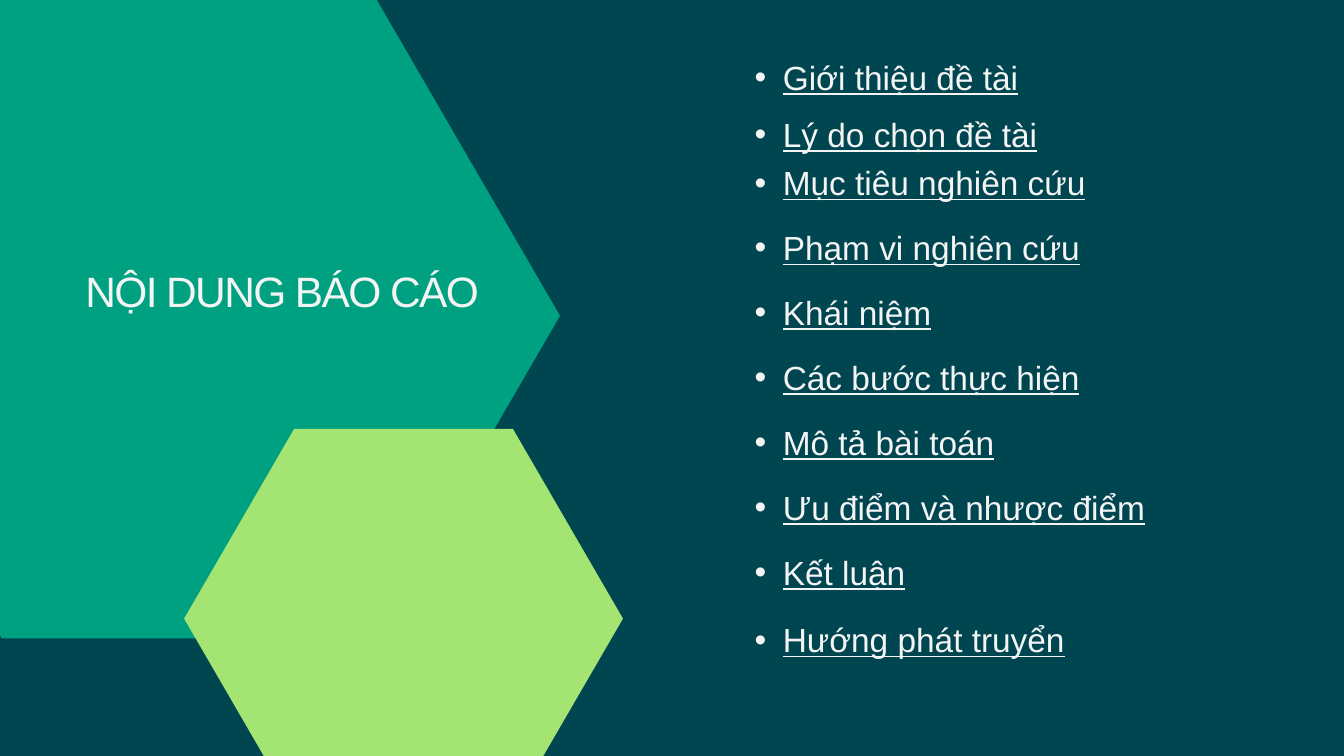
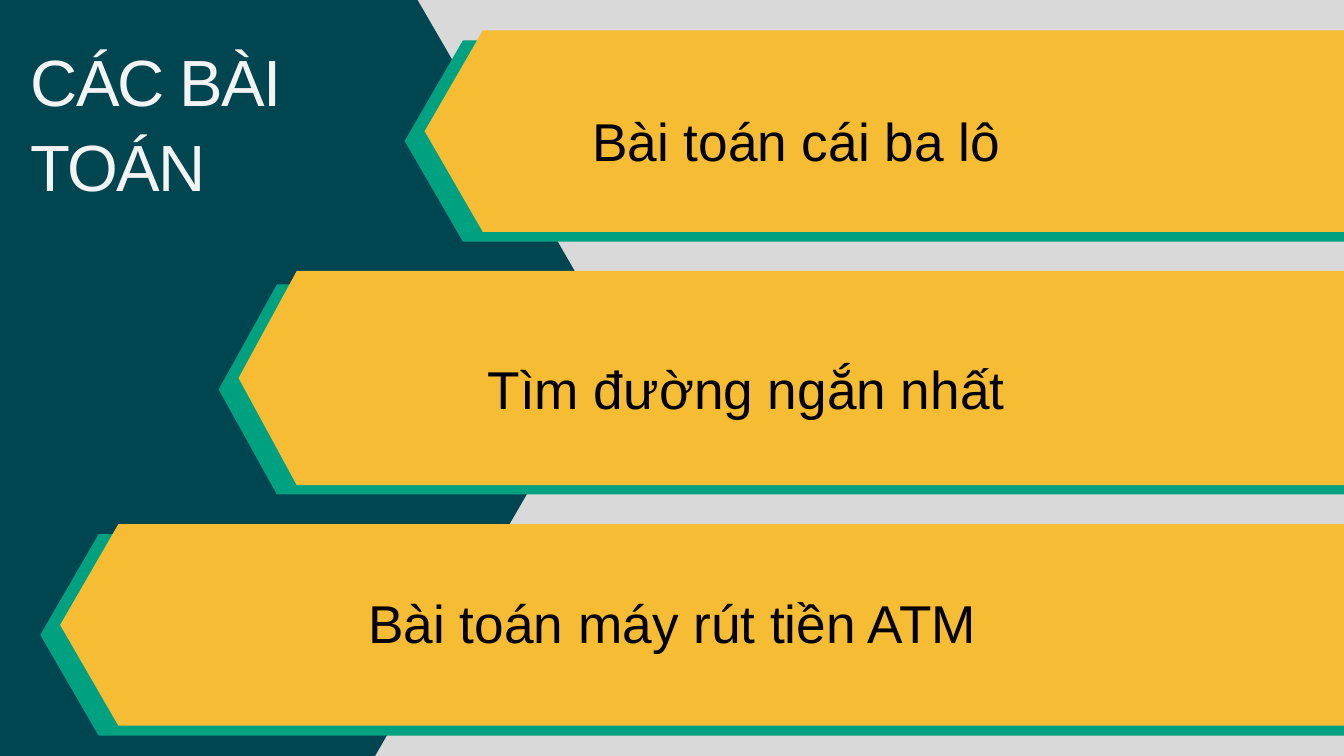
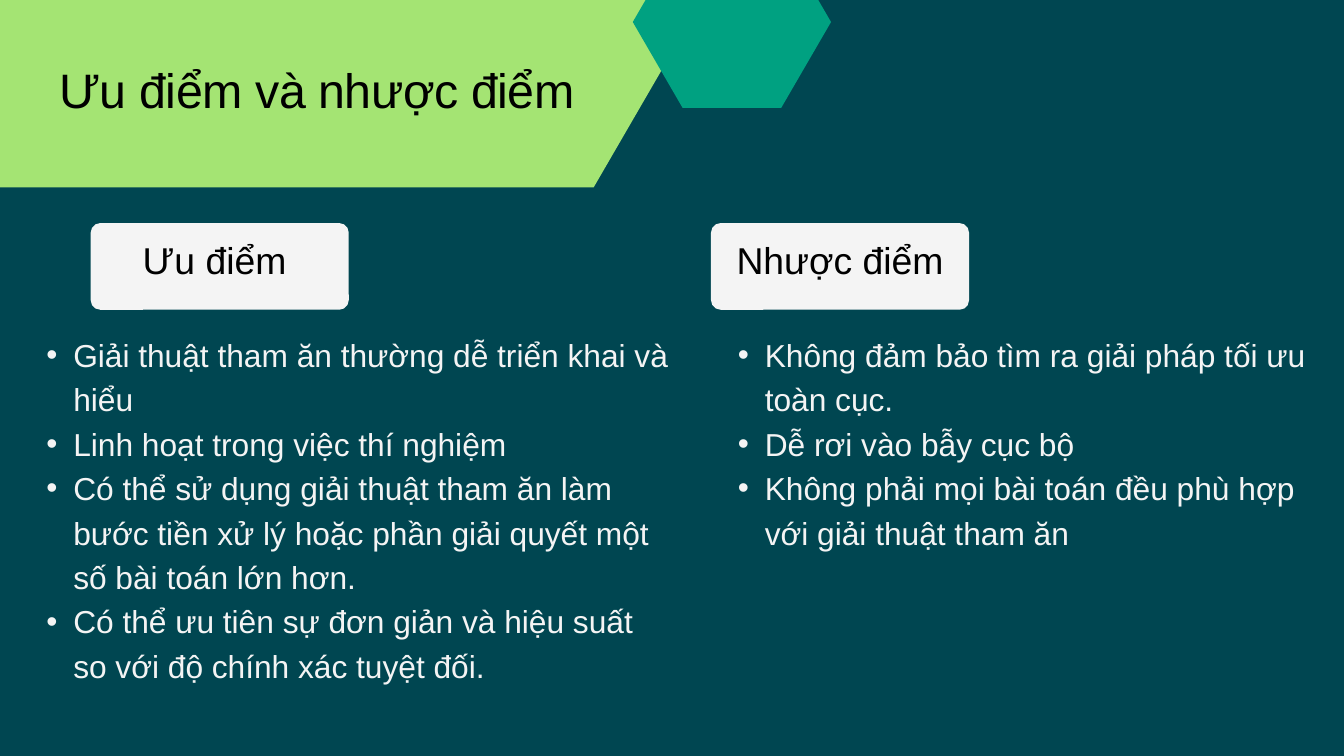
from dataclasses import dataclass

from lxml import etree
from pptx import Presentation
from pptx.dml.color import RGBColor
from pptx.enum.shapes import MSO_SHAPE
from pptx.enum.text import MSO_ANCHOR, MSO_AUTO_SIZE, PP_ALIGN
from pptx.oxml.ns import qn
from pptx.util import Pt

HEXAGON = MSO_SHAPE.HEXAGON
ROUNDED = MSO_SHAPE.ROUNDED_RECTANGLE
LEFT, CENTER = PP_ALIGN.LEFT, PP_ALIGN.CENTER
TOP, MIDDLE = MSO_ANCHOR.TOP, MSO_ANCHOR.MIDDLE
NO_FIT = MSO_AUTO_SIZE.NONE
SLOPE = 0.29  # side inset of a regular hexagon, as a share of its height


@dataclass(frozen=True)
class Theme:
    font: str = "Arial"
    dark: str = "004651"
    teal: str = "00A181"
    lime: str = "A4E473"
    gold: str = "F5BC34"
    gray: str = "D9D9D9"
    light: str = "F4F4F4"
    black: str = "000000"
    # Type styles: size, line height
    agenda: tuple = (45.5, 54.6)
    entry: tuple = (35.8, 50.1)
    cover: tuple = (70, 91)
    band: tuple = (57, 79.8)
    head: tuple = (51.8, 67.3)
    card: tuple = (40, 52)
    body: tuple = (34, 47.6)


class Deck:
    def __init__(self, theme):
        self.theme = theme
        self.prs = Presentation()
        self.prs.slide_width, self.prs.slide_height = Pt(1440), Pt(810)
        self.slide = None

    def page(self, color):
        self.slide = self.prs.slides.add_slide(self.prs.slide_layouts[5])
        fill = self.slide.background.fill
        fill.solid()
        fill.fore_color.rgb = RGBColor.from_string(color)

    def shape(self, kind, box, color, adjust):
        item = self.slide.shapes.add_shape(kind, *map(Pt, box))
        item.shadow.inherit = False
        item.fill.solid()
        item.fill.fore_color.rgb = RGBColor.from_string(color)
        item.line.fill.background()
        item.adjustments[0] = adjust
        return item

    def hexa(self, box, color, inset=None):
        width, height = box[2:]
        inset = inset or height * SLOPE
        return self.shape(HEXAGON, box, color, inset / min(width, height))

    def letter(self, item, lines, style, color, align=LEFT, anchor=TOP,
               track=0, indent=0, under=None, base=0):
        size, leading = style
        frame = item.text_frame
        frame.word_wrap = True
        frame.auto_size = NO_FIT
        frame.vertical_anchor = anchor
        frame.margin_left = frame.margin_right = frame.margin_top = 0
        frame.margin_bottom = Pt(base)
        frame.text = "\n".join(lines)
        for par in frame.paragraphs:
            par.alignment = align
            par.line_spacing = Pt(leading)
            if indent:
                self.bullet(par, indent)
            for run in par.runs:
                font = run.font
                font.name, font.size = self.theme.font, Pt(size)
                font.color.rgb = RGBColor.from_string(color)
                font.underline = under
                if track:
                    font._element.set("spc", str(round(track * 100)))

    def bullet(self, par, indent):
        par.level = 1
        props = par._p.get_or_add_pPr()
        props.set("marL", str(Pt(indent)))
        props.set("indent", str(-Pt(indent / 2)))
        etree.SubElement(props, qn("a:buFont")).set("typeface", self.theme.font)
        etree.SubElement(props, qn("a:buChar")).set("char", "•")

    def title(self, text, box, style, color, track):
        item = self.slide.shapes.title
        item.left, item.top, item.width, item.height = map(Pt, box)
        self.letter(item, [text], style, color, track=track)
        # Bring the title in front of the shapes drawn so far
        item.element.getparent().append(item.element)

    def text(self, lines, box, style, color, **opts):
        item = self.slide.shapes.add_textbox(*map(Pt, box))
        self.letter(item, lines, style, color, **opts)

    def card(self, text, left):
        item = self.shape(ROUNDED, (left, 239, 276.5, 92.9), self.theme.light, 0.11)
        self.letter(item, [text], self.theme.card, self.theme.black,
                    align=CENTER, anchor=MIDDLE, base=19.4)


def agenda(deck):
    look = deck.theme
    deck.page(look.dark)
    deck.hexa((-198.5, -7.2, 798.5, 691.2), look.teal)
    deck.hexa((197.3, 459.4, 470.2, 406.8), look.lime)
    deck.title("NỘI DUNG BÁO CÁO", (91.4, 284.4, 594, 54),
               look.agenda, look.light, -1.7)
    # Entries, evenly spaced in the middle of the list
    tops = [54, 115.2, *(167 + 69.5 * i for i in range(7)), 656.6]
    names = ["Giới thiệu đề tài", "Lý do chọn đề tài", "Mục tiêu nghiên cứu",
             "Phạm vi nghiên cứu", "Khái niệm", "Các bước thực hiện",
             "Mô tả bài toán", "Ưu điểm và nhược điểm", "Kết luận",
             "Hướng phát truyển"]
    for top, name in zip(tops, names):
        deck.text([name], (778.3, top, 614.2, 49), look.entry, look.light,
                  indent=60.5, under=True)


def tasks(deck):
    look = deck.theme
    deck.page(look.gray)
    deck.hexa((-366.5, -78.5, 1026, 888.5), look.dark)
    deck.title("CÁC BÀI TOÁN", (33.1, 37.4, 285.1, 179.3),
               look.cover, look.light, -1.9)
    # Each band: text, teal back, gold front, text box
    bands = [
        ("Bài toán máy rút tiền ATM", (43.2, 572.4, 1481.8, 215.7),
         (64.4, 561.6, 1496.2, 216), (319, 621.4, 802.8, 76.3)),
        ("Tìm đường ngắn nhất", (234.3, 304.8, 1267.9, 225),
         (255.6, 290.2, 1246.3, 229.7), (380.9, 370.1, 837.4, 76.3)),
        ("Bài toán cái ba lô ", (433.6, 43.2, 1090.8, 215.7),
         (455, 32.6, 1105.9, 216), (486.7, 104.4, 748.8, 76.3)),
    ]
    for name, back, front, box in bands:
        deck.hexa(back, look.teal, 62.4)
        deck.hexa(front, look.gold, 62.4)
        deck.text([name], box, look.band, look.black, align=CENTER)


def review(deck):
    look = deck.theme
    deck.page(look.dark)
    # Header
    deck.hexa((-229.7, -289.6, 1008, 490.3), look.lime)
    deck.hexa((678, -68.4, 212.4, 184), look.teal)
    deck.title("Ưu điểm và nhược điểm", (63.4, 59, 610.6, 65.5),
               look.head, look.black, -0.5)
    # Two columns: card above its points
    columns = [
        ("Ưu điểm ", 97.2, (20.9, 352.8, 699.1, 422.6), [
            "Giải thuật tham ăn thường dễ triển khai và hiểu",
            "Linh hoạt trong việc thí nghiệm",
            "Có thể sử dụng giải thuật tham ăn làm bước tiền xử lý hoặc "
            "phần giải quyết một số bài toán lớn hơn.",
            "Có thể ưu tiên sự đơn giản và hiệu suất so với độ chính xác "
            "tuyệt đối."]),
        ("Nhược điểm", 761.8, (761.8, 352.8, 655.9, 281.5), [
            "Không đảm bảo tìm ra giải pháp tối ưu toàn cục.",
            "Dễ rơi vào bẫy cục bộ",
            "Không phải mọi bài toán đều phù hợp với giải thuật tham ăn"]),
    ]
    for name, left, box, points in columns:
        deck.card(name, left)
        deck.text(points, box, look.body, look.light, indent=57.6)


def main():
    deck = Deck(Theme())
    for build in (agenda, tasks, review):
        build(deck)
    deck.prs.save("out.pptx")


if __name__ == "__main__":
    main()
